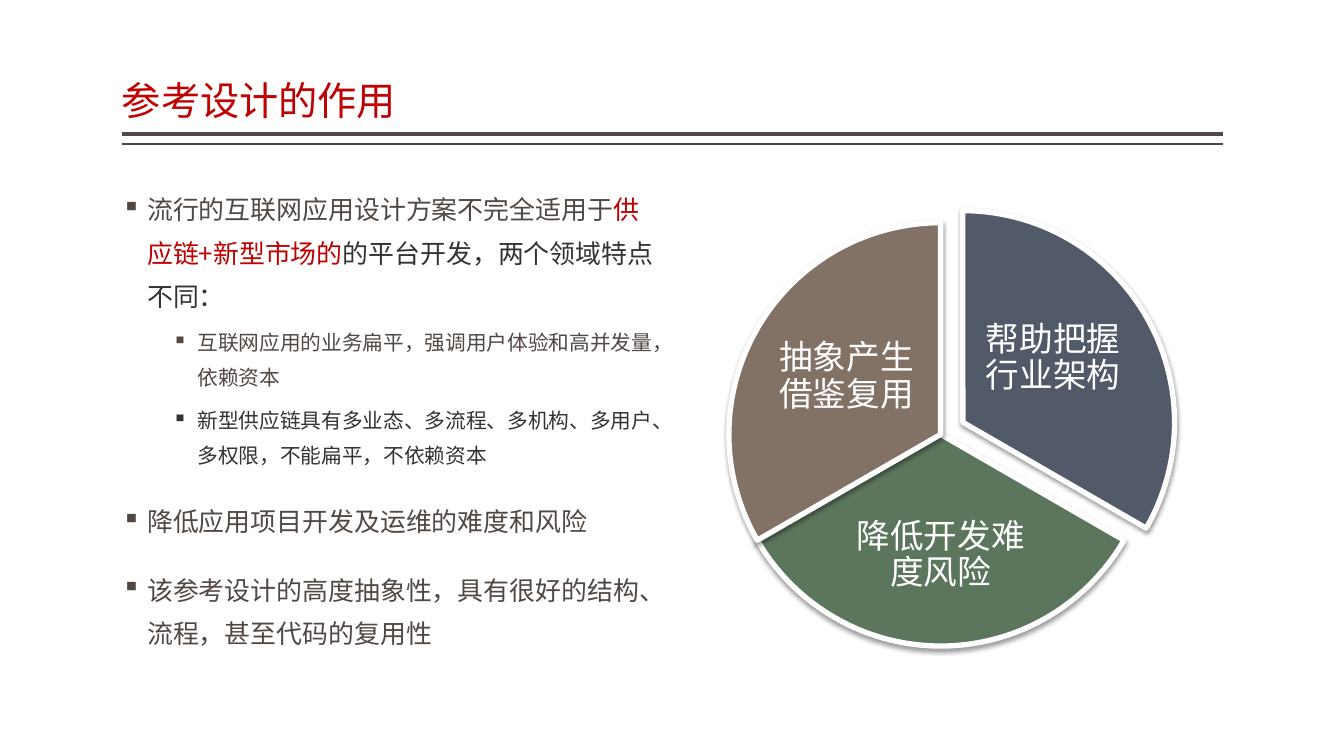
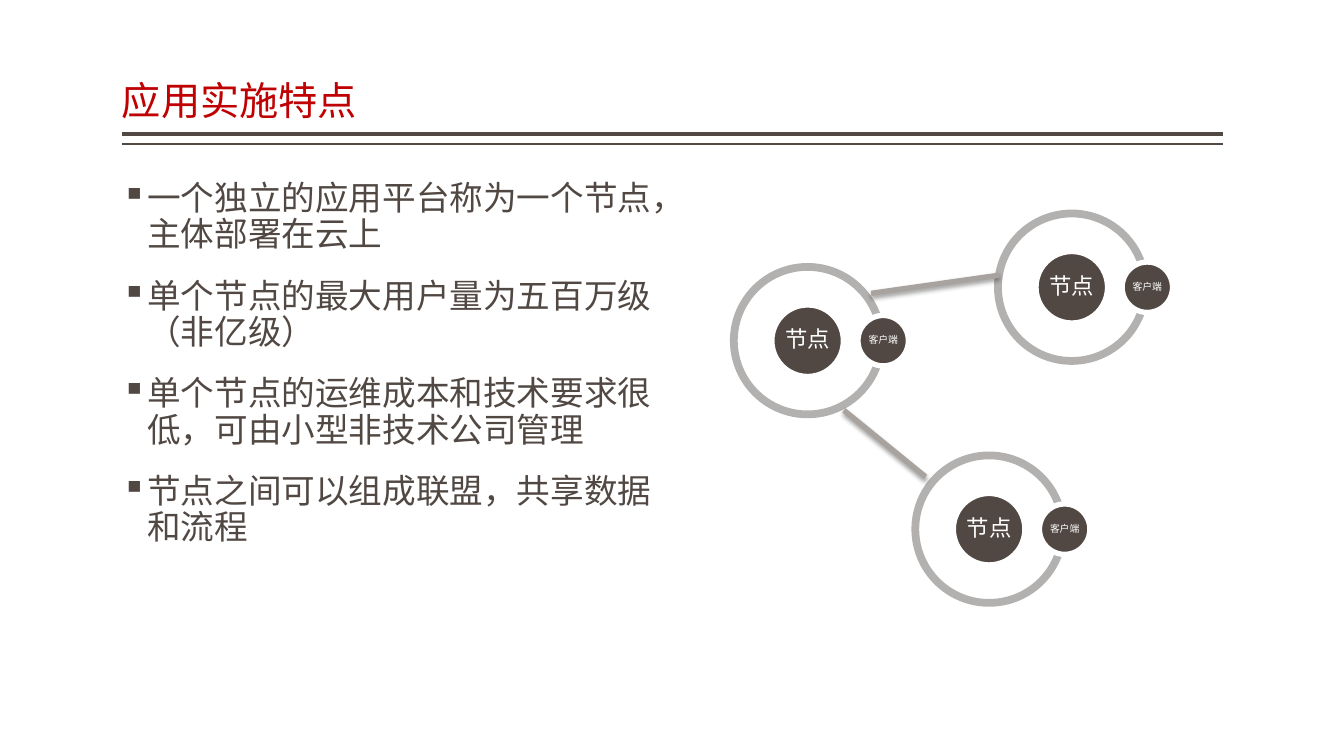
from lxml.etree import SubElement
from pptx import Presentation
from pptx.dml.color import RGBColor
from pptx.enum.lang import MSO_LANGUAGE_ID as Language
from pptx.enum.shapes import MSO_CONNECTOR as Connector, MSO_SHAPE as Shape
from pptx.enum.text import MSO_ANCHOR as Anchor, MSO_AUTO_SIZE as AutoSize, PP_ALIGN as Align
from pptx.oxml.ns import qn
from pptx.util import Inches, Pt

# Colours and fonts
BROWN = RGBColor(0x51, 0x48, 0x43)
TITLE_RED = RGBColor(0xBF, 0x01, 0x02)
ACCENT_RED = RGBColor(0xC0, 0x00, 0x00)
DARK = RGBColor(0x33, 0x33, 0x33)
WHITE = RGBColor(0xFF, 0xFF, 0xFF)
SLATE = RGBColor(0x52, 0x5A, 0x6A)
GREEN = RGBColor(0x5C, 0x76, 0x5D)
TAUPE = RGBColor(0x82, 0x72, 0x66)
RING_GREY = RGBColor(0xB3, 0xB1, 0xB0)
LINK_GREY = RGBColor(0xA8, 0xA3, 0x9E)
CJK_FONT = "Noto Sans CJK SC"
LATIN_FONT = "Lato"

LEFT, RIGHT = 1.21, 12.13
OUTLINE = 3.8


def set_effects(shape, shadow):
    """Replace the theme effects by a soft drop shadow or by none."""
    effects = SubElement(shape.element.spPr, qn("a:effectLst"))
    if shadow:
        outer = SubElement(effects, qn("a:outerShdw"), blurRad=str(Pt(3.5)),
                           dist=str(Pt(2)), dir="5400000", rotWithShape="0")
        black = SubElement(outer, qn("a:srgbClr"), val="000000")
        SubElement(black, qn("a:alpha"), val="38000")


class SlideBuilder:
    """Holds the shared style and the slide being drawn."""

    def __init__(self, deck):
        self.deck = deck
        self.slide = None

    def new_slide(self, title):
        self.slide = self.deck.slides.add_slide(self.deck.slide_layouts[5])
        for top, width in ((1.33, 3), (1.43, 1)):
            self.line((RIGHT, top), (LEFT, top), BROWN, width)
        box = self.slide.shapes.title
        box.left, box.top = Inches(LEFT), Inches(0.08)
        box.width, box.height = Inches(RIGHT - LEFT), Inches(1.2)
        para = self.frame(box, Anchor.BOTTOM, 0, 0.05).paragraphs[0]
        para.alignment, para.line_spacing = Align.LEFT, 0.9
        self.span(para, title, 28, TITLE_RED)

    def frame(self, box, anchor, side, edge):
        frame = box.text_frame
        frame.auto_size, frame.word_wrap = AutoSize.NONE, True
        frame.vertical_anchor = anchor
        frame.margin_left = frame.margin_right = Inches(side)
        frame.margin_top = frame.margin_bottom = Inches(edge)
        return frame

    def span(self, para, text, size, color, font=CJK_FONT):
        span = para.add_run()
        span.text = text
        span.font.size, span.font.name = Pt(size), font
        span.font.color.rgb = color
        span.font.language_id = Language.SIMPLIFIED_CHINESE
        SubElement(span.font._element, qn("a:ea"), typeface=CJK_FONT)

    def text_box(self, left, top, width, height):
        return self.slide.shapes.add_textbox(
            Inches(left), Inches(top), Inches(width), Inches(height))

    def bullets(self, items, sizes, spacing):
        """Each item is a level and its (text, colour) spans."""
        frame = self.frame(self.text_box(LEFT, 1.75, 5.38, 5), Anchor.TOP, 0, 0.05)
        for index, (level, spans) in enumerate(items):
            para = frame.add_paragraph() if index else frame.paragraphs[0]
            para.level, para.line_spacing = level, spacing
            para.space_before = Pt((18, 6)[level])
            para.alignment = Align.LEFT
            props = para._p.get_or_add_pPr()
            props.set("marL", str(Inches((0.25, 0.75)[level])))
            props.set("indent", str(Inches(-0.25)))
            SubElement(props, qn("a:buChar"), char="▪")
            for text, color in spans:
                self.span(para, text, sizes[level], color)

    def label(self, box, text, size, inset=0.03, wrap=True):
        frame = self.frame(box, Anchor.MIDDLE, inset, inset)
        frame.word_wrap = wrap
        para = frame.paragraphs[0]
        para.alignment, para.line_spacing = Align.CENTER, 0.9
        self.span(para, text, size, WHITE, LATIN_FONT)

    def line(self, start, end, color, width, shadow=False):
        line = self.slide.shapes.add_connector(
            Connector.STRAIGHT, *(Inches(value) for value in (*start, *end)))
        line.line.color.rgb, line.line.width = color, Pt(width)
        set_effects(line, shadow)

    def round_shape(self, kind, center, size, fill, outlined=True, shadow=False,
                    adjustments=()):
        x, y = center
        shape = self.slide.shapes.add_shape(
            kind, Inches(x - size / 2), Inches(y - size / 2), Inches(size), Inches(size))
        for index, value in enumerate(adjustments):
            shape.adjustments[index] = value
        shape.fill.solid()
        shape.fill.fore_color.rgb = fill
        if outlined:
            shape.line.color.rgb, shape.line.width = WHITE, Pt(OUTLINE)
        else:
            shape.line.fill.background()
        set_effects(shape, shadow)
        return shape

    def pie_slice(self, center, start_degrees, fill, text, text_area):
        # Angles are stored in 60000ths of a degree, adjustments in 100000ths
        angles = [degrees % 360 * 0.6 for degrees in (start_degrees, start_degrees + 120)]
        self.round_shape(Shape.PIE, center, 4.2, fill, shadow=True, adjustments=angles)
        self.label(self.text_box(*text_area), text, 24)

    def node(self, x, y):
        self.round_shape(Shape.BLOCK_ARC, (x, y), 1.54, RING_GREY, outlined=False,
                         adjustments=(0.31, 215.69, 0.05))
        for offset, size, text, points in ((0, 0.71, "节点", 16), (0.75, 0.5, "客户端", 7)):
            disc = self.round_shape(Shape.OVAL, (x + offset, y), size, BROWN)
            self.label(disc, text, points, inset=0, wrap=False)


def build_role_slide(builder):
    builder.new_slide("参考设计的作用")
    builder.bullets([
        (0, [("流行的互联网应用设计方案不完全适用于", BROWN),
             ("供应链+新型市场的", ACCENT_RED),
             ("的平台开发，两个领域特点不同：", DARK)]),
        (1, [("互联网应用的业务扁平，强调用户体验和高并发量，依赖资本", BROWN)]),
        (1, [("新型供应链具有多业态、多流程、多机构、多用户、多权限，不能扁平，不依赖资本", DARK)]),
        (0, [("降低应用项目开发及运维的难度和风险", BROWN)]),
        (0, [("该参考设计的高度抽象性，具有很好的结构、流程，甚至代码的复用性", BROWN)]),
    ], sizes=(18.5, 14.8), spacing=1.4)

    # Three equal slices, the first one pulled out
    center = (9.33, 4.31)
    builder.pie_slice((9.55, 4.19), 270, SLATE, "帮助把握行业架构", (9.73, 2.86, 1.43, 1.4))
    builder.pie_slice(center, 30, GREEN, "降低开发难度风险", (8.38, 4.86, 1.9, 1.3))
    builder.pie_slice(center, 150, TAUPE, "抽象产生借鉴复用", (7.68, 3.04, 1.43, 1.4))


def build_features_slide(builder):
    builder.new_slide("应用实施特点")
    features = (
        "一个独立的应用平台称为一个节点，主体部署在云上",
        "单个节点的最大用户量为五百万级（非亿级）",
        "单个节点的运维成本和技术要求很低，可由小型非技术公司管理",
        "节点之间可以组成联盟，共享数据和流程",
    )
    builder.bullets([(0, [(text, BROWN)]) for text in features], sizes=(24,), spacing=0.9)

    # Nodes with their clients, then the links between nodes
    for center in ((8.01, 3.38), (9.81, 5.25), (10.63, 2.85)):
        builder.node(*center)
    for start, end in (((8.37, 4.07), (9.18, 4.73)), ((8.64, 2.91), (9.91, 2.73))):
        builder.line(start, end, LINK_GREY, OUTLINE, shadow=True)


def main():
    deck = Presentation()
    deck.slide_width, deck.slide_height = Inches(13.33), Inches(7.5)
    builder = SlideBuilder(deck)
    build_role_slide(builder)
    build_features_slide(builder)
    deck.save("out.pptx")


if __name__ == "__main__":
    main()
